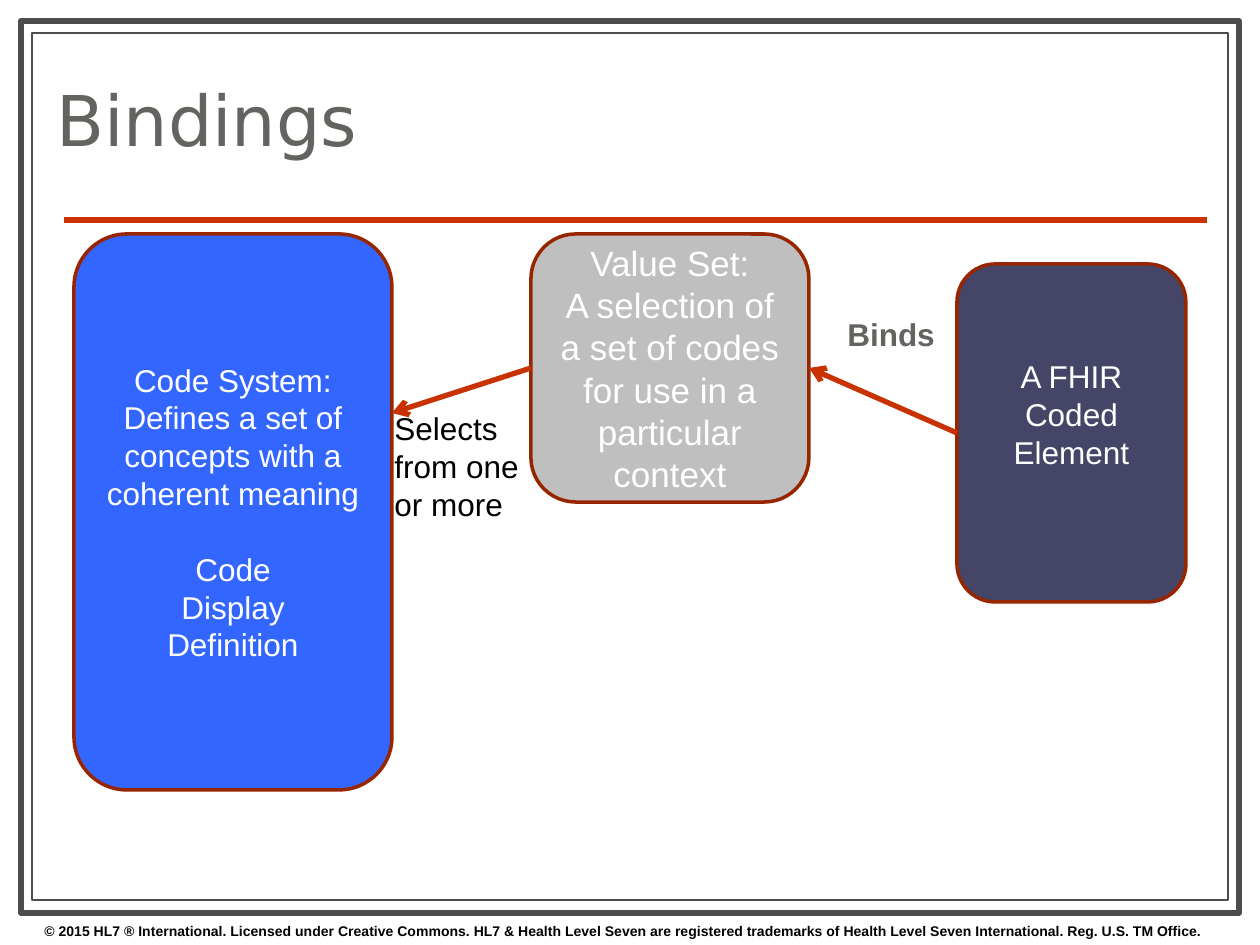
from lxml import etree
from pptx import Presentation
from pptx import util as u
from pptx.dml.color import RGBColor
from pptx.enum import shapes, text
from pptx.oxml.ns import qn

WHITE = RGBColor(0xFF, 0xFF, 0xFF)
BLACK = RGBColor(0, 0, 0)
FRAME = RGBColor(0x4D, 0x4D, 0x4D)
RULE = RGBColor(0xCC, 0x33, 0x00)
ARROW = RGBColor(0xC8, 0x32, 0x00)
EDGE = RGBColor(0x97, 0x26, 0x00)
GREY = RGBColor(0x63, 0x63, 0x60)
BLUE = RGBColor(0x33, 0x66, 0xFF)
SILVER = RGBColor(0xBF, 0xBF, 0xBF)
NAVY = RGBColor(0x45, 0x45, 0x67)

SIZE = (1260, 945)
LINE_GAP = 38
PAD_X, PAD_Y = 13, 6

FRAMES = [((21, 21, 1218, 892), 3.5), ((32, 33, 1196, 867), 0.75)]
TITLE = ("Bindings", (44, 45, 903, 163))
FOOTER = (
    "© 2015 HL7 ® International. Licensed under Creative Commons. HL7 & Health Level Seven "
    "are registered trademarks of Health Level Seven International. Reg. U.S. TM Office.",
    (32, 916, 1260, 29),
)
BOXES = [
    {"at": (74, 234, 318, 556), "fill": BLUE, "size": 18, "lift": 0, "gap_before": "Code",
     "lines": ["Code System:", "Defines a set of concepts with a coherent meaning",
               "Code", "Display", "Definition"]},
    {"at": (957, 264, 229, 338), "fill": NAVY, "size": 18, "lift": LINE_GAP, "gap_before": None,
     "lines": ["A FHIR Coded Element"]},
    {"at": (531, 234, 278, 268), "fill": SILVER, "size": 20, "lift": 0, "gap_before": None,
     "lines": ["Value Set:", "A selection of a set of codes for use in a particular context"]},
]
ARROWS = [((531, 368), (392, 413)), ((957, 433), (809, 368))]
LABELS = [
    ("Binds", (835, 309, 113, 50), GREY, True, False),
    ("Selects from one or more", (382, 403, 185, 132), BLACK, False, True),
]


def px(n):
    return u.Emu(round(n * 914400 / 126))


def add_run(p, words, size, color, bold=False, font="Arial"):
    r = p.add_run()
    r.text = words
    r.font.size = u.Pt(size)
    r.font.name = font
    r.font.bold = bold
    r.font.color.rgb = color


def add_shape(s, kind, at, fill, line, width):
    sp = s.shapes.add_shape(kind, *map(px, at))
    sp.shadow.inherit = False
    sp.fill.solid()
    sp.fill.fore_color.rgb = fill
    sp.line.color.rgb = line
    sp.line.width = u.Pt(width)
    return sp


def add_line(s, start, end, color, arrow=False):
    cn = s.shapes.add_connector(shapes.MSO_CONNECTOR.STRAIGHT, *map(px, start + end))
    cn.line.color.rgb = color
    cn.line.width = u.Pt(3)
    if arrow:
        etree.SubElement(cn.line._get_or_add_ln(), qn("a:tailEnd"), type="arrow")
    etree.SubElement(cn._element.spPr, qn("a:effectLst"))


def add_text(s, words, at, size, color, bold=False, wrap=True, font="Arial"):
    tf = s.shapes.add_textbox(*map(px, at)).text_frame
    tf.word_wrap = wrap
    add_run(tf.paragraphs[0], words, size, color, bold, font)
    return tf


def add_box(s, box):
    sp = add_shape(s, shapes.MSO_SHAPE.ROUNDED_RECTANGLE, box["at"], box["fill"], EDGE, 2)
    tf = sp.text_frame
    tf.word_wrap = True
    tf.vertical_anchor = text.MSO_ANCHOR.MIDDLE
    tf.margin_left = tf.margin_right = px(PAD_X)
    tf.margin_top = px(PAD_Y)
    tf.margin_bottom = px(PAD_Y + box["lift"])
    for i, words in enumerate(box["lines"]):
        p = tf.add_paragraph() if i else tf.paragraphs[0]
        p.alignment = text.PP_ALIGN.CENTER
        if words == box["gap_before"]:
            p.space_before = px(LINE_GAP)
        add_run(p, words, box["size"], WHITE)


def main():
    prs = Presentation()
    prs.slide_width, prs.slide_height = map(px, SIZE)
    s = prs.slides.add_slide(prs.slide_layouts[6])

    for at, width in FRAMES:
        add_shape(s, shapes.MSO_SHAPE.RECTANGLE, at, WHITE, FRAME, width)
    add_line(s, (64, 220), (1207, 220), RULE)
    add_text(s, *FOOTER, 8, BLACK, bold=True)

    tf = add_text(s, *TITLE, 40, GREY, font="DejaVu Sans")
    tf.vertical_anchor = text.MSO_ANCHOR.MIDDLE
    tf.paragraphs[0].line_spacing = 0.8

    for box in BOXES:
        add_box(s, box)
    for start, end in ARROWS:
        add_line(s, start, end, ARROW, arrow=True)
    for words, at, color, bold, wrap in LABELS:
        add_text(s, words, at, 18, color, bold, wrap)

    prs.save("out.pptx")


if __name__ == "__main__":
    main()
